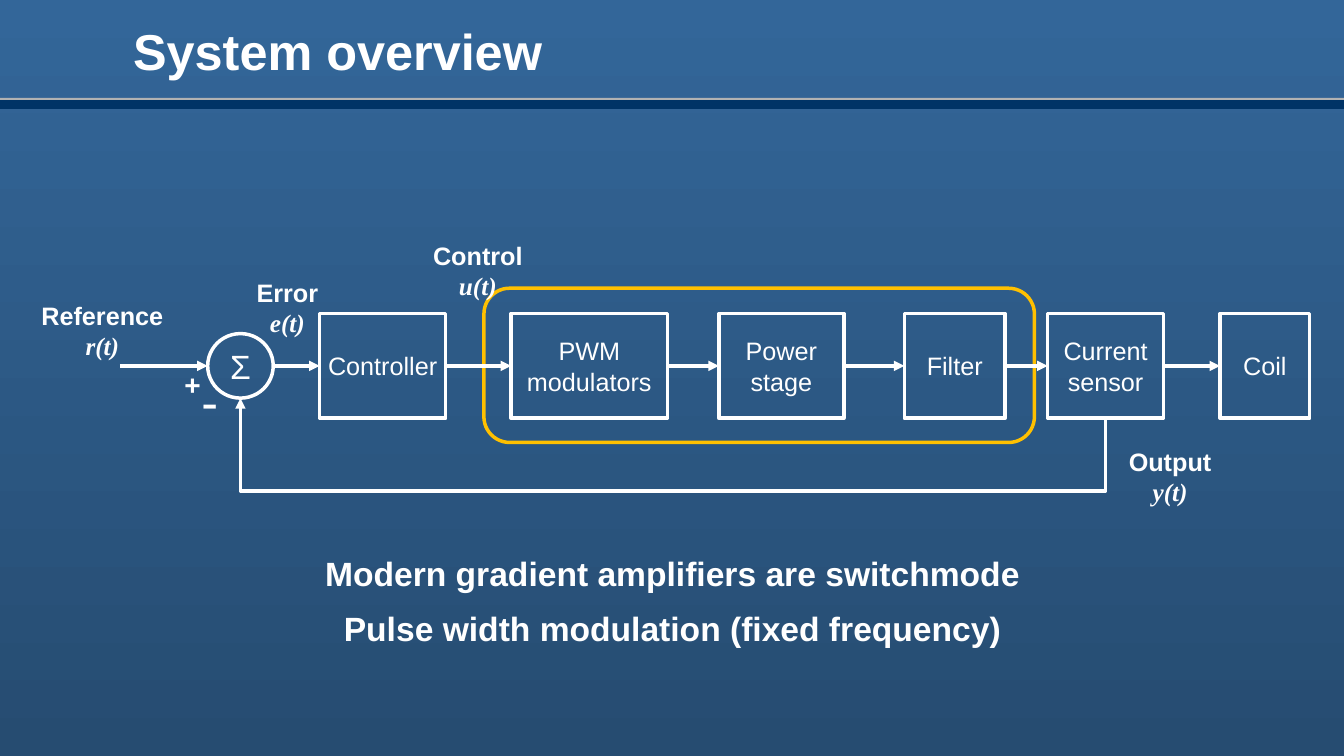
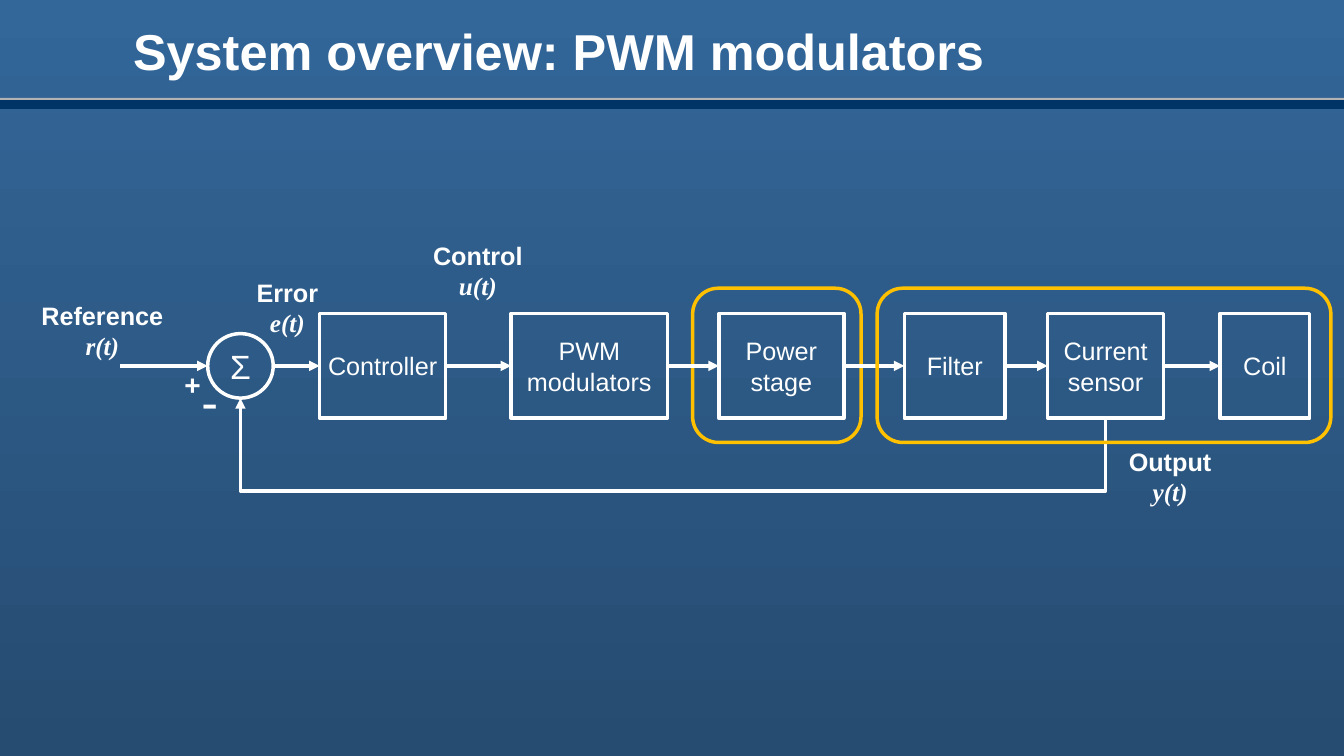
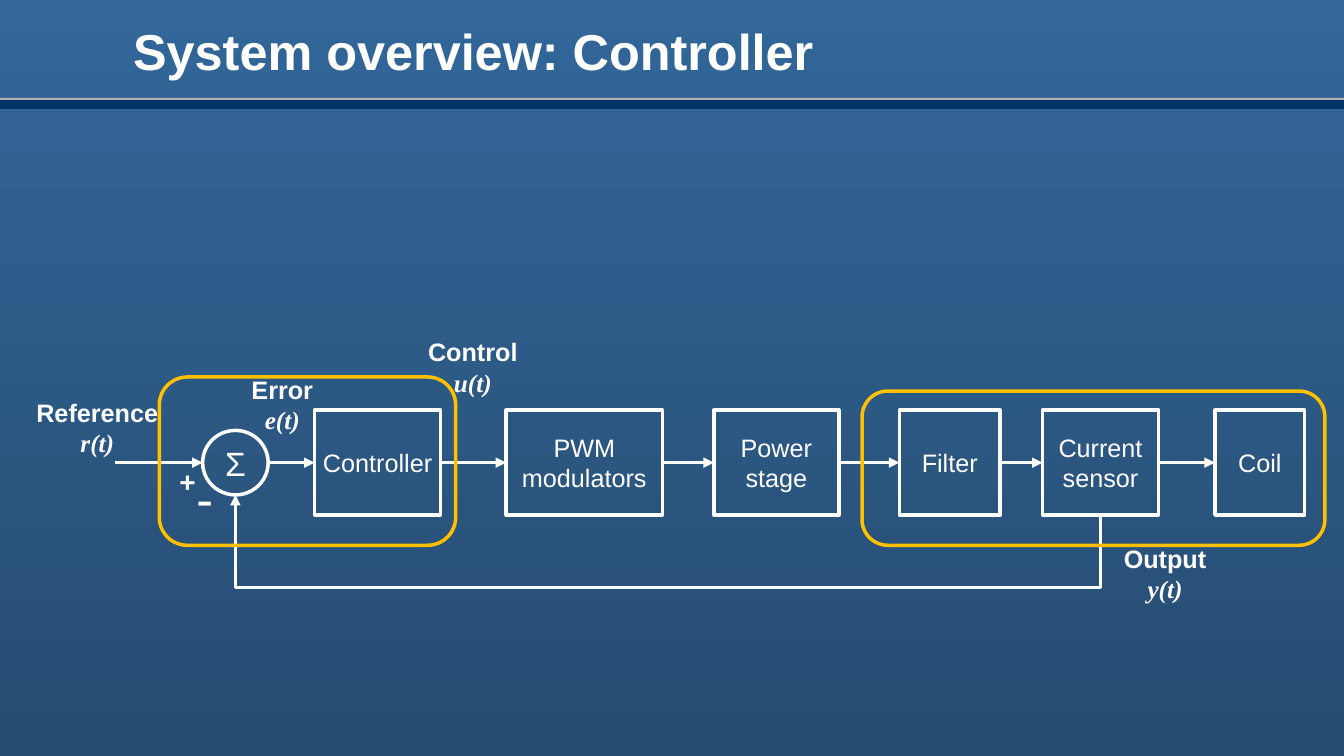
from pptx import Presentation
from pptx import util as u
from pptx.dml.color import RGBColor
from pptx.enum import shapes, text
from pptx.oxml import ns, xmlchemy

WHITE = RGBColor(0xFF, 0xFF, 0xFF)
AMBER = RGBColor(0xFF, 0xC0, 0x00)
NAVY = RGBColor(0x00, 0x33, 0x66)
GREY = RGBColor(0xB2, 0xB2, 0xB2)
BLUE_TOP = RGBColor(0x33, 0x66, 0x99)
BLUE_BOTTOM = RGBColor(0x26, 0x4C, 0x71)

SANS = {"name": "Arial", "size": u.Pt(18), "bold": False}
BOLD = {**SANS, "bold": True}
SYMBOL = {**BOLD, "name": "Times New Roman", "italic": True}
TITLE = {**BOLD, "size": u.Pt(36)}
MESSAGE = {**BOLD, "size": u.Pt(24)}
SIGMA = {**SANS, "size": u.Pt(24)}
PLUS = {**BOLD, "size": u.Pt(20)}
MINUS = {**SANS, "size": u.Pt(36)}

INSETS = ("margin_left", "margin_top", "margin_right", "margin_bottom")
CENTER, LEFT = text.PP_ALIGN.CENTER, text.PP_ALIGN.LEFT
LINE_WIDTH = u.Pt(2.5)
SLIDE_WIDTH = 13.33
BOX_TOP, BOX_HEIGHT = 3.11, 1.04
AXIS = BOX_TOP + BOX_HEIGHT / 2
SUM_LEFT, SUM_WIDTH, SUM_HEIGHT = 2.06, 0.65, 0.64
FEEDBACK_Y = 4.87

BLOCKS = [
    ("Controller", 3.17, 1.25),
    ("PWM modulators", 5.07, 1.55),
    ("Power stage", 7.13, 1.24),
    ("Filter", 8.97, 1.0),
    ("Current sensor", 10.39, 1.15),
    ("Coil", 12.1, 0.89),
]
SIGNALS = [
    ("Error", "e(t)", (2.01, 2.7, 1.68, 0.71), 0.1, 0.05),
    ("Output", "y(t)", (10.83, 4.38, 1.55, 0.71), 0.1, 0.05),
    ("Reference", "r(t)", (0.35, 2.98, 1.33, 0.61), 0, 0),
    ("Control", "u(t)", (4.16, 2.38, 1.16, 0.61), 0, 0),
]


def inches(values):
    """Convert numbers to lengths in inches."""
    return [u.Inches(v) for v in values]


def shift(at, offset):
    """Move a left, top, width, height box by an offset."""
    return (at[0] + offset[0], at[1] + offset[1], *at[2:])


def write(tf, lines, align=LEFT, insets=(0.1, 0.05), after=0):
    """Fill a text frame with one paragraph per (wording, format) pair."""
    tf.word_wrap = True
    for name, value in zip(INSETS, inches(insets * 2)):
        setattr(tf, name, value)
    for i, (wording, style) in enumerate(lines):
        p = tf.paragraphs[0] if i == 0 else tf.add_paragraph()
        p.alignment = align
        p.space_after = u.Pt(after)
        r = p.add_run()
        r.text = wording
        for name, value in style.items():
            setattr(r.font, name, value)
        r.font.color.rgb = WHITE


def add_text(s, at, lines, **layout):
    """Add a text box."""
    write(s.shapes.add_textbox(*inches(at)).text_frame, lines, **layout)


def add_outline(s, kind, at, color):
    """Add an unfilled outlined shape."""
    sp = s.shapes.add_shape(kind, *inches(at))
    sp.shadow.inherit = False
    sp.fill.background()
    sp.line.color.rgb = color
    sp.line.width = LINE_WIDTH
    return sp


def add_node(s, kind, at, wording, style, insets):
    """Add a white outlined shape with centred text."""
    sp = add_outline(s, kind, at, WHITE)
    sp.text_frame.vertical_anchor = text.MSO_ANCHOR.MIDDLE
    write(sp.text_frame, [(wording, style)], align=CENTER, insets=insets)
    return sp


def add_frame(s, at):
    """Add an amber highlight frame."""
    add_outline(s, shapes.MSO_SHAPE.ROUNDED_RECTANGLE, at, AMBER)


def add_arrow(s, kind, start, end):
    """Add a white connector with an arrowhead at its end."""
    c = s.shapes.add_connector(kind, *inches((*start, *end)))
    c.line.color.rgb = WHITE
    c.line.width = LINE_WIDTH
    ln = c.element.spPr.find(ns.qn("a:ln"))
    ln.append(xmlchemy.OxmlElement("a:tailEnd", None))
    ln[-1].set("type", "triangle")
    c.element.spPr.append(xmlchemy.OxmlElement("a:effectLst", None))
    return c


def add_feedback(s, sensor, summer, start, end, low):
    """Add the elbow arrow that runs below the chain back to the summer."""
    c = add_arrow(s, shapes.MSO_CONNECTOR.ELBOW, start, end)
    c.begin_connect(sensor, 2)
    c.end_connect(summer, 2)
    c.element.find(".//" + ns.qn("a:endCxn")).set("idx", "4")
    rise, run = start[1] - end[1], start[0] - end[0]
    mid_x, mid_y = (start[0] + end[0]) / 2, (start[1] + end[1]) / 2
    c.left, c.top, c.width, c.height = inches(
        (mid_x - rise / 2, mid_y - run / 2, rise, run))
    xfrm = c.element.spPr.find(ns.qn("a:xfrm"))
    for name, value in {"rot": "5400000", "flipH": "1", "flipV": "0"}.items():
        xfrm.set(name, value)
    geom = c.element.spPr.find(ns.qn("a:prstGeom"))
    av = geom.find(ns.qn("a:avLst"))
    if av is None:
        av = xmlchemy.OxmlElement("a:avLst")
        geom.append(av)
    gd = xmlchemy.OxmlElement("a:gd")
    gd.set("name", "adj1")
    gd.set("fmla", f"val {round((start[1] - low) / rise * 100000)}")
    av.append(gd)


def add_diagram(s, offset=(0, 0)):
    """Draw the control loop, moved by an offset."""
    dx, dy = offset
    axis = AXIS + dy
    straight = shapes.MSO_CONNECTOR.STRAIGHT
    boxes = [
        add_node(s, shapes.MSO_SHAPE.RECTANGLE,
                 (left + dx, BOX_TOP + dy, width, BOX_HEIGHT), name, SANS, (0, 0.05))
        for name, left, width in BLOCKS
    ]
    summer = add_node(s, shapes.MSO_SHAPE.OVAL,
                      (SUM_LEFT + dx, axis - SUM_HEIGHT / 2, SUM_WIDTH, SUM_HEIGHT),
                      "Σ", SIGMA, (0, 0))
    add_arrow(s, straight, (1.19 + dx, axis), (SUM_LEFT + dx, axis))
    error = add_arrow(s, straight, (SUM_LEFT + SUM_WIDTH + dx, axis),
                      (BLOCKS[0][1] + dx, axis))
    error.end_connect(boxes[0], 1)
    for i, (a, b) in enumerate(zip(boxes, boxes[1:])):
        c = add_arrow(s, straight, (BLOCKS[i][1] + BLOCKS[i][2] + dx, axis),
                      (BLOCKS[i + 1][1] + dx, axis))
        c.begin_connect(a, 3)
        c.end_connect(b, 1)
    _, left, width = BLOCKS[4]
    add_feedback(s, boxes[4], summer,
                 (left + width / 2 + dx, axis + BOX_HEIGHT / 2),
                 (SUM_LEFT + SUM_WIDTH / 2 + dx, axis + SUM_HEIGHT / 2),
                 FEEDBACK_Y + dy)
    add_text(s, shift((1.73, 3.6, 0.38, 0.59), offset), [("+", PLUS)])
    add_text(s, shift((1.9, 3.62, 0.58, 0.95), offset), [("-", MINUS)])
    for name, symbol, at, *insets in SIGNALS:
        add_text(s, shift(at, offset), [(name, BOLD), (symbol, SYMBOL)],
                 align=CENTER, insets=tuple(insets))


def add_band(s, top, height, color):
    """Add a full-width band."""
    sp = s.shapes.add_shape(shapes.MSO_SHAPE.RECTANGLE,
                            *inches((0, top, SLIDE_WIDTH, height)))
    sp.shadow.inherit = False
    sp.fill.solid()
    sp.fill.fore_color.rgb = color
    sp.line.fill.background()


def add_slide(prs, title):
    """Add a slide with the header bands and its title."""
    s = prs.slides.add_slide(prs.slide_layouts[5])
    add_band(s, 0.99, 0.09, NAVY)
    add_band(s, 0.97, 0.02, GREY)
    sp = s.shapes.title
    sp.left, sp.top, sp.width, sp.height = inches((1.22, 0, 12.11, 0.99))
    sp.text_frame.auto_size = text.MSO_AUTO_SIZE.NONE
    sp.text_frame.vertical_anchor = text.MSO_ANCHOR.MIDDLE
    write(sp.text_frame, [(title, TITLE)])
    return s


def set_background(prs):
    """Give the master its vertical blue gradient."""
    fill = prs.slide_master.background.fill
    fill.gradient()
    fill.gradient_angle = 270
    for stop, position, color in zip(fill.gradient_stops, (0, 1), (BLUE_TOP, BLUE_BOTTOM)):
        stop.position = position
        stop.color.rgb = color


def main():
    """Build the three slides."""
    prs = Presentation()
    prs.slide_width, prs.slide_height = inches((SLIDE_WIDTH, 7.5))
    set_background(prs)

    s = add_slide(prs, "System overview")
    add_text(s, (2.02, 5.44, 9.3, 1.05),
             [("Modern gradient amplifiers are switchmode", MESSAGE),
              ("Pulse width modulation (fixed frequency)", MESSAGE)],
             align=CENTER, after=10)
    add_frame(s, (4.8, 2.86, 5.46, 1.53))
    add_diagram(s)

    s = add_slide(prs, "System overview: PWM modulators")
    add_frame(s, (6.87, 2.86, 1.67, 1.53))
    add_diagram(s)
    add_frame(s, (8.7, 2.86, 4.5, 1.53))

    s = add_slide(prs, "System overview: Controller")
    add_diagram(s, offset=(-0.05, 0.96))
    add_frame(s, (8.55, 3.88, 4.59, 1.53))
    add_frame(s, (1.58, 3.74, 2.94, 1.67))

    prs.save("out.pptx")


if __name__ == "__main__":
    main()
